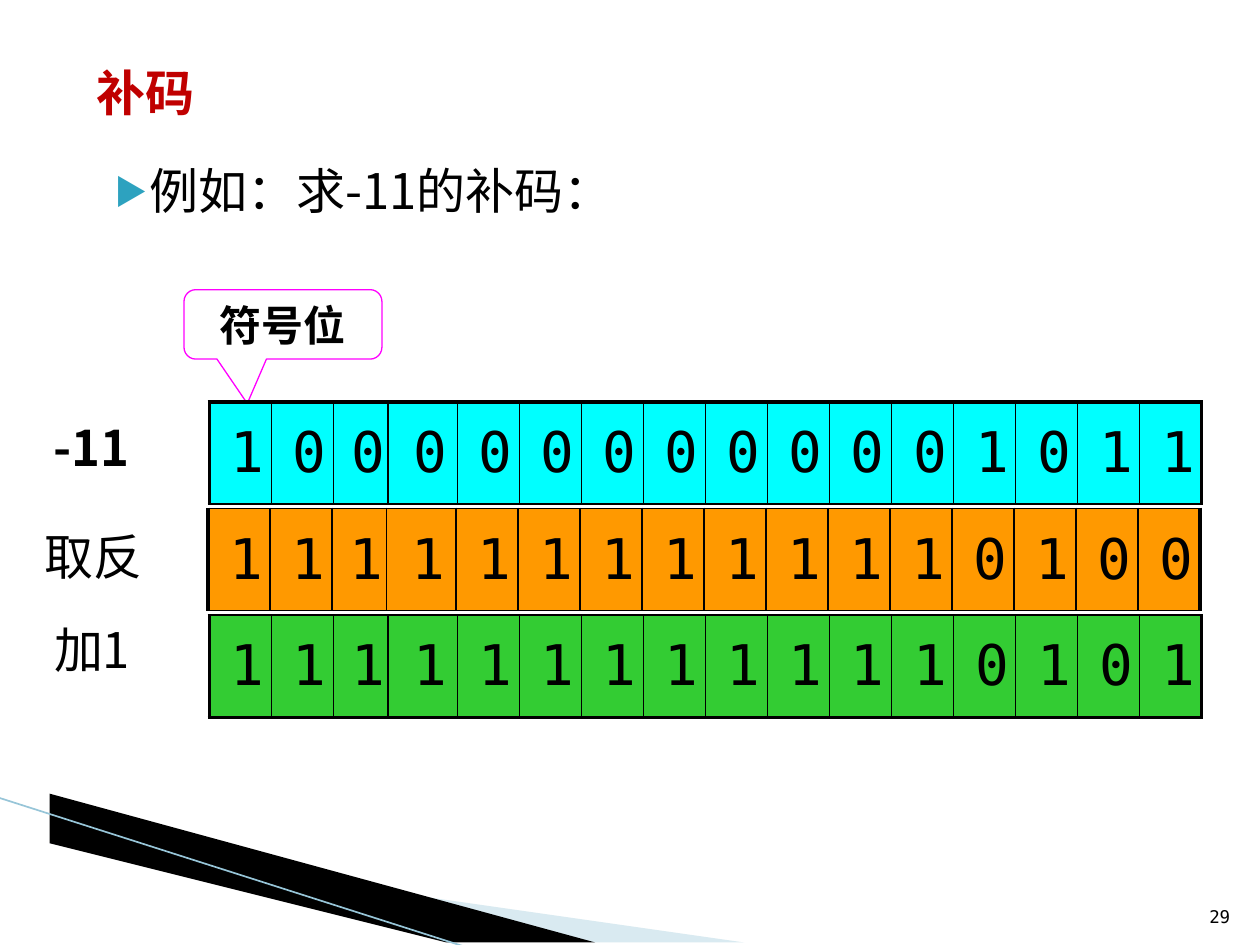
from lxml import etree
from pptx import Presentation
from pptx.dml.color import RGBColor
from pptx.enum.shapes import MSO_CONNECTOR, MSO_SHAPE
from pptx.enum.text import MSO_ANCHOR, PP_ALIGN
from pptx.oxml.ns import qn
from pptx.util import Cm, Pt

CENTER, RIGHT = PP_ALIGN.CENTER, PP_ALIGN.RIGHT
TOP, MIDDLE, BOTTOM = MSO_ANCHOR.TOP, MSO_ANCHOR.MIDDLE, MSO_ANCHOR.BOTTOM
CALLOUT = MSO_SHAPE.ROUNDED_RECTANGULAR_CALLOUT
STRAIGHT = MSO_CONNECTOR.STRAIGHT

BLACK = RGBColor(0x00, 0x00, 0x00)
WHITE = RGBColor(0xFF, 0xFF, 0xFF)
RED = RGBColor(0xC0, 0x00, 0x00)
MAGENTA = RGBColor(0xFF, 0x00, 0xFF)
CYAN = RGBColor(0x00, 0xFF, 0xFF)
ORANGE = RGBColor(0xFF, 0x99, 0x00)
GREEN = RGBColor(0x33, 0xCC, 0x33)
TEAL = RGBColor(0x2D, 0xA2, 0xBF)
PALE_BLUE = RGBColor(0xA0, 0xCB, 0xDC)
LINE_BLUE = RGBColor(0x97, 0xC5, 0xD8)

SANS = "Noto Sans CJK SC"
MONO = "DejaVu Sans Mono"
THIN, THICK = 1, 2.25
BIT_WIDTHS = [1.25, 1.25, 1.1, 1.4] + [1.25] * 12
ROW_TOP, ROW_STEP, ROW_HEIGHT = 8.1, 2.15, 2.06


def add_child(parent, tag, **attributes):
    """Append a drawing element with the given attributes."""
    return etree.SubElement(parent, qn(tag), attributes)


def style_paragraph(para, size, color, name=SANS, bold=False):
    """Set the font of a whole paragraph, East Asian face included."""
    font = para.font
    font.size = Pt(size)
    font.bold = bold
    font.color.rgb = color
    font.name = name
    add_child(para._p.pPr.find(qn("a:defRPr")), "a:ea", typeface=name)


def add_text(page, text, place, size, color=BLACK, name=SANS, bold=False,
             align=None, anchor=TOP):
    """Add a wrapped one-paragraph text box."""
    box = page.shapes.add_textbox(*map(Cm, place))
    frame = box.text_frame
    frame.word_wrap = True
    frame.vertical_anchor = anchor
    para = frame.paragraphs[0]
    para.text = text
    para.alignment = align
    style_paragraph(para, size, color, name, bold)


def add_bullet_text(page, text, place):
    """Add a text box with a triangle bullet."""
    box = page.shapes.add_textbox(*map(Cm, place))
    box.text_frame.word_wrap = True
    para = box.text_frame.paragraphs[0]
    para.text = text
    para.line_spacing = 1.2
    properties = para._p.get_or_add_pPr()
    properties.set("marL", str(Cm(1.02)))
    properties.set("indent", str(Cm(-0.71)))
    bullet_color = add_child(properties, "a:buClr")
    add_child(bullet_color, "a:srgbClr", val=str(TEAL))
    add_child(properties, "a:buSzPct", val="68000")
    add_child(properties, "a:buFont", typeface=SANS)
    add_child(properties, "a:buChar", char="▶")
    style_paragraph(para, 28, BLACK)


def add_callout(page, text, place):
    """Add the speech bubble that points at the sign bit."""
    callout = page.shapes.add_shape(CALLOUT, *map(Cm, place))
    callout.shadow.inherit = False
    for index, value in enumerate((-0.18, 1.14, 0.17)):
        callout.adjustments[index] = value
    callout.fill.solid()
    callout.fill.fore_color.rgb = WHITE
    callout.line.color.rgb = MAGENTA
    callout.line.width = Pt(0.75)
    callout.text_frame.vertical_anchor = MIDDLE
    para = callout.text_frame.paragraphs[0]
    para.text = text
    para.alignment = CENTER
    style_paragraph(para, 24, BLACK, "Arial", True)


def set_borders(cell, left, right, top, bottom):
    """Draw the four black borders of a cell, widths in points."""
    properties = cell._tc.get_or_add_tcPr()
    for side, width in zip("LRTB", (left, right, top, bottom)):
        border = add_child(properties, f"a:ln{side}", w=str(Pt(width)))
        fill = add_child(border, "a:solidFill")
        add_child(fill, "a:srgbClr", val=str(BLACK))


def add_bit_row(page, bits, left, top, color, top_border, bottom_border):
    """Add a one-row table with a cell for each bit."""
    frame = page.shapes.add_table(1, len(bits), Cm(left), Cm(top),
                                  Cm(sum(BIT_WIDTHS)), Cm(ROW_HEIGHT))
    table = frame.table
    table.first_row = table.horz_banding = False
    last = len(bits) - 1
    for index, (bit, width) in enumerate(zip(bits, BIT_WIDTHS)):
        table.columns[index].width = Cm(width)
        cell = table.cell(0, index)
        set_borders(cell, THICK if index == 0 else THIN,
                    THICK if index == last else THIN,
                    top_border, bottom_border)
        cell.fill.solid()
        cell.fill.fore_color.rgb = color
        cell.vertical_anchor = MIDDLE
        para = cell.text_frame.paragraphs[0]
        para.text = bit
        para.alignment = CENTER
        para._p.pPr.set("marL", "0")
        para._p.pPr.set("indent", str(Cm(0.3)))
        style_paragraph(para, 32, BLACK, MONO)


def add_wedge(page, points, color, alpha=None):
    """Add a filled polygon, with alpha in percent if given."""
    builder = page.shapes.build_freeform(*points[0], scale=Cm(1))
    builder.add_line_segments(points[1:], close=True)
    wedge = builder.convert_to_shape()
    wedge.shadow.inherit = False
    wedge.fill.solid()
    wedge.fill.fore_color.rgb = color
    wedge.line.fill.background()
    if alpha is not None:
        shade = wedge._element.spPr.find(qn("a:solidFill"))[0]
        add_child(shade, "a:alpha", val=str(alpha * 1000))


def add_line(page, ends, color, width):
    """Add a straight line without shadow."""
    line = page.shapes.add_connector(STRAIGHT, *map(Cm, ends))
    line.line.color.rgb = color
    line.line.width = Pt(width)
    add_child(line._element.spPr, "a:effectLst")


def main():
    """Build the two's complement page."""
    deck = Presentation()
    deck.slide_width, deck.slide_height = Cm(25.4), Cm(19.05)
    page = deck.slides.add_slide(deck.slide_layouts[6])

    add_wedge(page, [(1.4, 16.54), (15.11, 19.08), (11.58, 19.08),
                     (1.4, 16.51)], PALE_BLUE, 40)
    add_wedge(page, [(1.35, 16.48), (11.61, 19.08), (9.45, 19.1),
                     (1.37, 16.51)], BLACK)
    add_line(page, (-0.03, 16.08, 9.42, 19.1), LINE_BLUE, 0.95)

    add_bullet_text(page, "例如：求-11的补码：", (1.75, 2.87, 21.6, 1.8))
    add_text(page, "29", (24.03, 17.8, 1.02, 1.02), 10, name=MONO,
             align=RIGHT, anchor=BOTTOM)
    add_callout(page, "符号位", (3.71, 5.84, 3.99, 1.4))
    add_text(page, "补码", (1.7, 1.14, 6.6, 1.75), 28, RED, bold=True)

    add_text(page, " -11", (0.61, 8.3, 3.6, 1.45), 28, bold=True)
    add_text(page, "取反", (0.64, 10.49, 3.6, 1.45), 28)
    add_text(page, "加1", (0.84, 12.37, 3.18, 1.45), 28)

    rows = [
        ("1000000000001011", 4.22, CYAN, THICK, THIN),
        ("1111111111110100", 4.19, ORANGE, THIN, THIN),
        ("1111111111110101", 4.22, GREEN, THIN, THICK),
    ]
    for index, (bits, left, color, top_border, bottom_border) in enumerate(rows):
        add_bit_row(page, bits, left, ROW_TOP + index * ROW_STEP, color,
                    top_border, bottom_border)

    deck.save("out.pptx")


if __name__ == "__main__":
    main()
